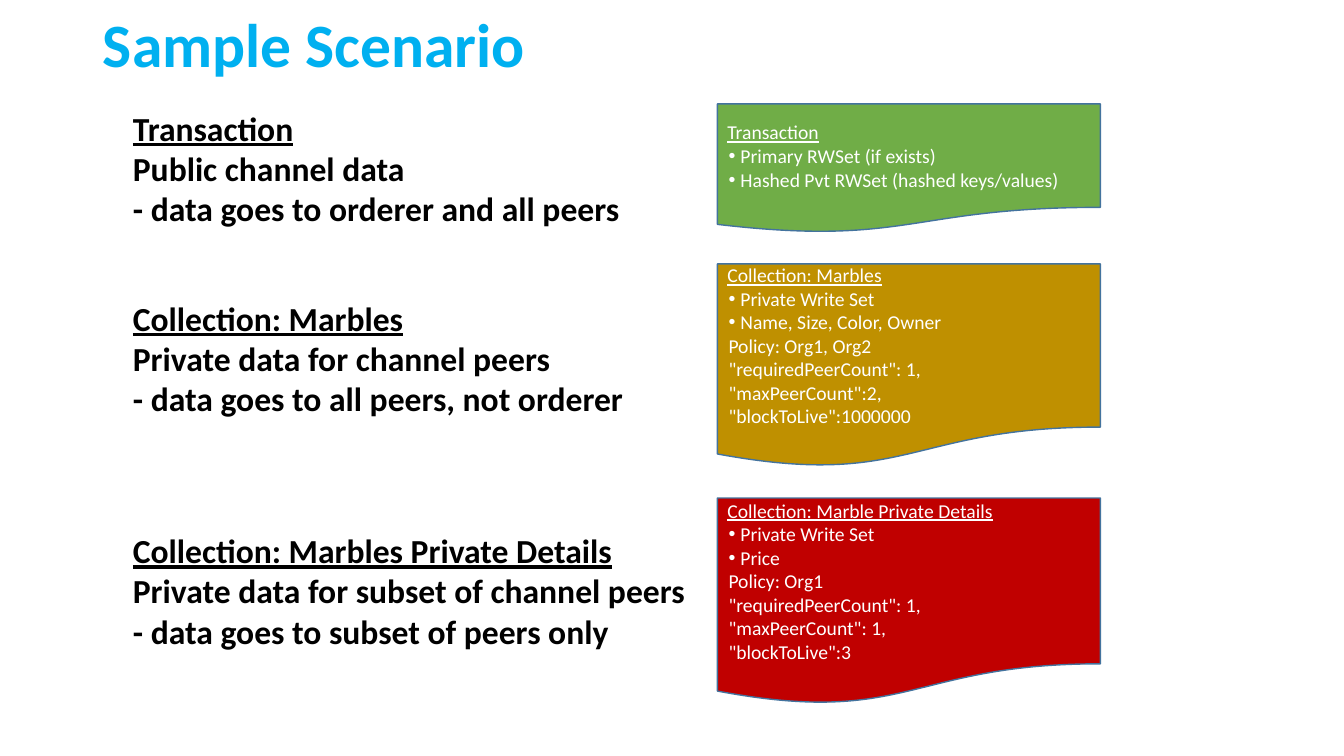
from dataclasses import dataclass

from lxml import etree
from pptx import Presentation
from pptx import util as u
from pptx.dml.color import RGBColor
from pptx.enum import shapes, text
from pptx.oxml import ns

FONT = "Calibri"
COLORS = {
    "title": "00B0F0",
    "caption": "000000",
    "card_text": "FFFFFF",
    "card_line": "43739E",
    "public": "70AD47",
    "marbles": "BF9000",
    "details": "C00000",
}
CAPTION_LEFT, CAPTION_HEIGHT = 3.1, 3.33
CARD_LEFT, CARD_WIDTH = 18.08, 9.65


@dataclass
class Caption:
    top: float
    width: float
    heading: str
    lines: list[str]


@dataclass
class Card:
    top: float
    height: float
    color: str
    heading: str
    bullets: list[str]
    policy: list[str]


def rgb(name: str) -> RGBColor:
    return RGBColor.from_string(COLORS[name])


def add_span(para, words: str, size: float, color: str,
             bold: bool = False, underline: bool = False) -> None:
    span = para.add_run()
    span.text = words
    span.font.name = FONT
    span.font.size = u.Pt(size)
    span.font.bold = bold
    span.font.underline = underline
    span.font.color.rgb = rgb(color)


def next_para(frame):
    para = frame.add_paragraph()
    para.alignment = text.PP_ALIGN.LEFT
    return para


def indent(para, left: float, first: float = 0, bullet: str = "") -> None:
    para.level = 1
    props = para._p.get_or_add_pPr()
    props.set("marL", str(u.Cm(left)))
    props.set("indent", str(u.Cm(first)))
    if bullet:
        etree.SubElement(props, ns.qn("a:buFont")).set("typeface", "Arial")
        etree.SubElement(props, ns.qn("a:buChar")).set("char", bullet)


def add_caption(page, caption: Caption) -> None:
    box = page.shapes.add_textbox(u.Cm(CAPTION_LEFT), u.Cm(caption.top),
                                  u.Cm(caption.width), u.Cm(CAPTION_HEIGHT))
    frame = box.text_frame
    frame.word_wrap = True
    frame.auto_size = text.MSO_AUTO_SIZE.SHAPE_TO_FIT_TEXT
    add_span(frame.paragraphs[0], caption.heading, 24, "caption", True, True)
    for line in caption.lines:
        add_span(next_para(frame), line, 24, "caption", True)


def add_card(page, card: Card) -> None:
    box = page.shapes.add_shape(
        shapes.MSO_SHAPE.FLOWCHART_DOCUMENT, u.Cm(CARD_LEFT), u.Cm(card.top),
        u.Cm(CARD_WIDTH), u.Cm(card.height))
    box.shadow.inherit = False
    box.fill.solid()
    box.fill.fore_color.rgb = rgb(card.color)
    box.line.color.rgb = rgb("card_line")
    box.line.width = u.Pt(1)

    frame = box.text_frame
    frame.word_wrap = True
    frame.vertical_anchor = text.MSO_ANCHOR.MIDDLE
    heading = frame.paragraphs[0]
    heading.alignment = text.PP_ALIGN.LEFT
    add_span(heading, card.heading, 14, "card_text", underline=True)
    for line in card.bullets:
        para = next_para(frame)
        indent(para, 0.33, -0.3, "•")
        add_span(para, line, 14, "card_text")
    for line in card.policy:
        para = next_para(frame)
        indent(para, 0.03)
        add_span(para, line, 14, "card_text")


def add_title(page, words: str) -> None:
    title = page.shapes.title
    title.left, title.top = u.Cm(2.34), u.Cm(0.08)
    title.width, title.height = u.Cm(29.21), u.Cm(2.26)
    frame = title.text_frame
    frame.auto_size = text.MSO_AUTO_SIZE.NONE
    frame.vertical_anchor = text.MSO_ANCHOR.MIDDLE
    para = frame.paragraphs[0]
    para.alignment = text.PP_ALIGN.LEFT
    para.line_spacing = 0.9
    add_span(para, words, 44, "title", True)


CAPTIONS = [
    Caption(2.59, 15.42, "Transaction",
            ["Public channel data", "- data goes to orderer and all peers"]),
    Caption(7.37, 15.42, "Collection: Marbles",
            ["Private data for channel peers",
             "- data goes to all peers, not orderer"]),
    Caption(13.23, 16, "Collection: Marbles Private Details",
            ["Private data for subset of channel peers",
             "- data goes to subset of peers only"]),
]
CARDS = [
    Card(2.62, 3.25, "public", "Transaction",
         ["Primary RWSet (if exists)",
          "Hashed Pvt RWSet (hashed keys/values)"], []),
    Card(6.65, 5.13, "marbles", "Collection: Marbles",
         ["Private Write Set", "Name, Size, Color, Owner"],
         ["Policy: Org1, Org2", '"requiredPeerCount": 1,',
          '"maxPeerCount":2,', '"blockToLive":1000000']),
    Card(12.55, 5.21, "details", "Collection: Marble Private Details",
         ["Private Write Set", "Price"],
         ["Policy: Org1", '"requiredPeerCount": 1,',
          '"maxPeerCount": 1,', '"blockToLive":3']),
]

# Deck and title
deck = Presentation()
deck.slide_width, deck.slide_height = u.Cm(33.87), u.Cm(19.05)
page = deck.slides.add_slide(deck.slide_layouts.get_by_name("Title Only"))
add_title(page, "Sample Scenario")

# Document cards on the right, captions on the left
for card in CARDS:
    add_card(page, card)
for caption in CAPTIONS:
    add_caption(page, caption)

deck.save("out.pptx")
